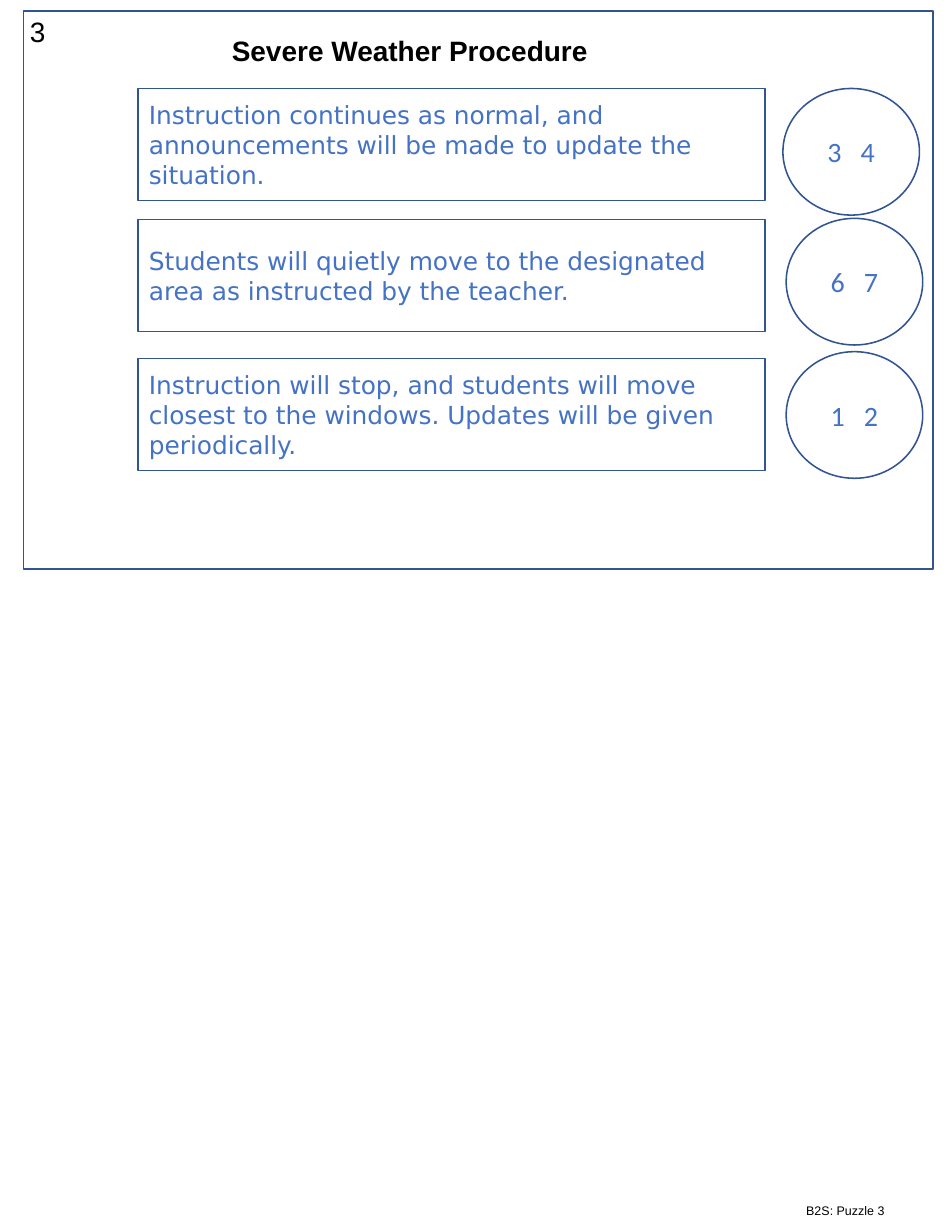
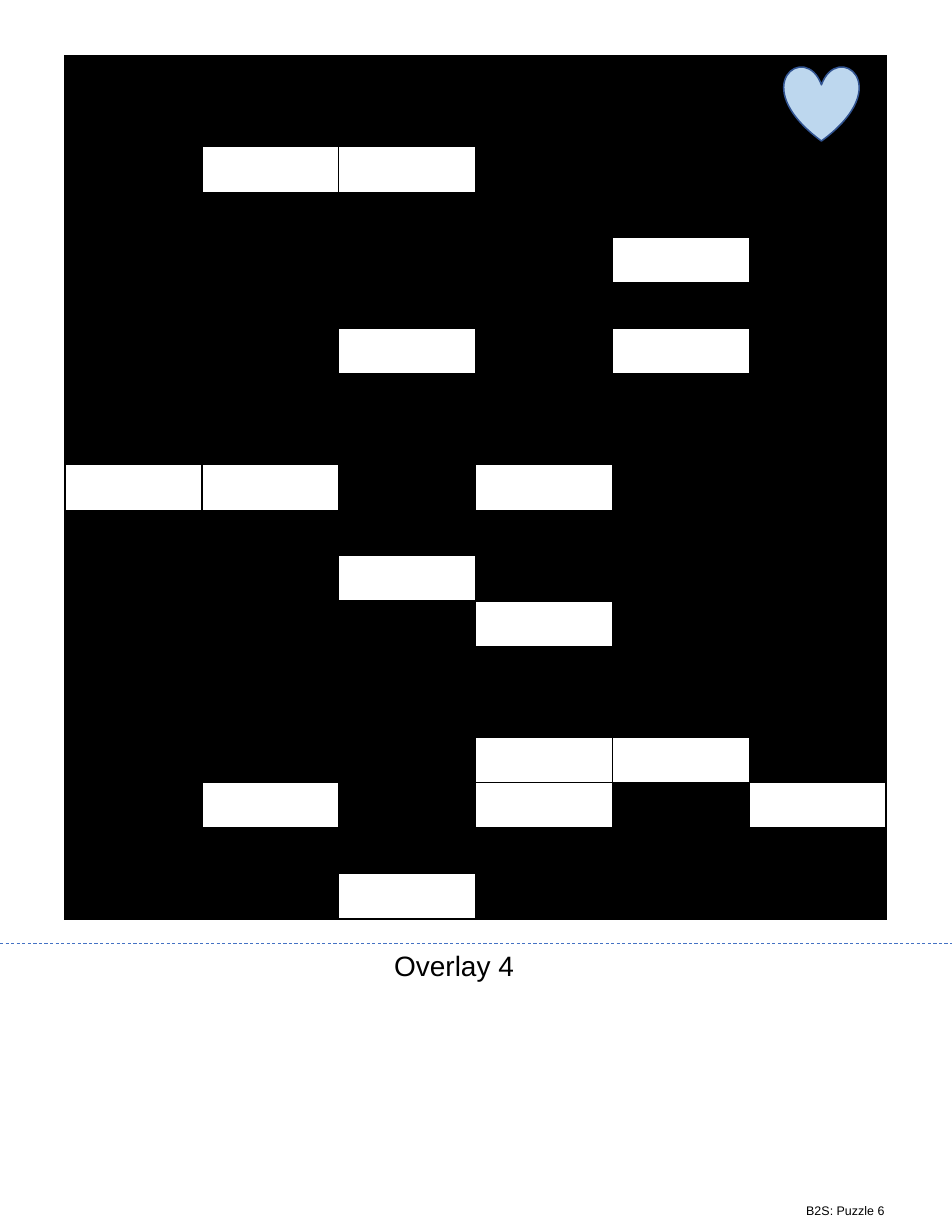
from pptx import Presentation
from pptx.dml.color import RGBColor
from pptx.enum import dml, shapes, text
from pptx.oxml import parse_xml
from pptx.oxml.ns import nsdecls
from pptx.util import Pt

HUES = {"ink": "000000", "paper": "FFFFFF", "edge": "325491",
        "blue": "4472C4", "heart": "BDD7EE"}
KIND = shapes.MSO_SHAPE
ALIGN = text.PP_ALIGN
FRAME = (15.1, 7.2, 584.6, 358.6)
GRID = (41.8, 36, 527.8, 555.1)
ROWS, COLS = 19, 6
HOLES = {2: [1, 2], 4: [4], 6: [2, 4], 9: [0, 1, 3], 11: [2], 12: [3],
         15: [3, 4], 16: [1, 3, 5], 18: [2]}
STEPS = [
    ("Instruction continues as normal, and announcements will be made to "
     "update the situation.", "34", 49.7, (488.2, 49.7)),
    ("Students will quietly move to the designated area as instructed by "
     "the teacher.", "67", 133.9, (490.3, 133.2)),
    ("Instruction will stop, and students will move closest to the windows. "
     "Updates will be given periodically.", "12", 223.2, (490.3, 218.9)),
]


def hue(name):
    return RGBColor.from_string(HUES[name])


def points(box):
    return [Pt(n) for n in box]


def style(para, size, face, tint, align=ALIGN.LEFT, bold=False):
    para.alignment = align
    font = para.font
    font.size, font.name, font.bold = Pt(size), face, bold
    font.color.rgb = hue(tint)


def panel(slide, kind, box, fill="paper"):
    shape = slide.shapes.add_shape(kind, *points(box))
    shape.shadow.inherit = False
    shape.fill.solid()
    shape.fill.fore_color.rgb = hue(fill)
    shape.line.color.rgb = hue("edge")
    shape.line.width = Pt(1)
    shape.text_frame.vertical_anchor = text.MSO_ANCHOR.MIDDLE
    return shape


def label(shape, words, size=18, wrap=False, bold=False):
    frame = shape.text_frame
    frame.text = words
    frame.word_wrap = wrap
    frame.auto_size = text.MSO_AUTO_SIZE.SHAPE_TO_FIT_TEXT
    frame.vertical_anchor = text.MSO_ANCHOR.TOP
    style(frame.paragraphs[0], size, "Arial", "ink", bold=bold)


def note(slide, box, words, size=18, wrap=False):
    label(slide.shapes.add_textbox(*points(box)), words, size, wrap)


def title(slide, box, words, bold=False):
    head = slide.shapes.title
    head.left, head.top, head.width, head.height = points(box)
    label(head, words, bold=bold)
    slide.shapes._spTree.append(head._element)


def footer(slide, number):
    note(slide, (511.2, 769.7, 100.8, 17.3), f"B2S: Puzzle {number}", 8, True)


def step(slide, left, top, words, pair, drop, spot):
    card = panel(slide, KIND.RECTANGLE, (left + 73.5, top + drop, 403.2, 72))
    card.text_frame.text = words
    style(card.text_frame.paragraphs[0], 16, "DejaVu Sans", "blue")
    x, y = spot
    disc = panel(slide, KIND.OVAL, (left + x, top + y, 87.8, 81.4))
    para = disc.text_frame.paragraphs[0]
    style(para, 18, "Calibri", "blue", ALIGN.CENTER)
    for part in (pair[0], " ", pair[1]):
        run = para.add_run()
        run.text = part
        if part == " ":
            run.font._element.set("spc", "810")


def procedure(slide, box):
    left, top = box[:2]
    panel(slide, KIND.RECTANGLE, box)
    for item in STEPS:
        step(slide, left, top, *item)
    note(slide, (left - 2.9, top - 1.4, 24.5, 28.8), "3")
    title(slide, (left + 126.7, top + 10.8, 245.5, 28.8),
          "Severe Weather Procedure", True)


def border(cell):
    props = cell._tc.get_or_add_tcPr()
    for side in "LRTB":
        props.append(parse_xml(
            f'<a:ln{side} {nsdecls("a")} w="12700"><a:solidFill>'
            f'<a:srgbClr val="{HUES["ink"]}"/></a:solidFill></a:ln{side}>'))


def mask(slide, box):
    left, top, width, height = box
    table = slide.shapes.add_table(ROWS, COLS, *points(box)).table
    for col in table.columns:
        col.width = Pt(width / COLS)
    for r, row in enumerate(table.rows):
        row.height = Pt(height / ROWS)
        for c, cell in enumerate(row.cells):
            cell.margin_top = cell.margin_bottom = 0
            border(cell)
            cell.fill.solid()
            open_ = c in HOLES.get(r, [])
            cell.fill.fore_color.rgb = hue("paper" if open_ else "ink")
    panel(slide, KIND.HEART, (left + 462.2, top + 6.5, 48.2, 48.2), "heart")


def cut(slide, y):
    line = slide.shapes.add_connector(
        shapes.MSO_CONNECTOR.STRAIGHT, *points((0, y, 612, y)))
    line.line.color.rgb = hue("blue")
    line.line.width = Pt(0.5)
    line.line.dash_style = dml.MSO_LINE.DASH
    line._element.spPr.append(parse_xml(f'<a:effectLst {nsdecls("a")}/>'))


def main():
    deck = Presentation()
    deck.slide_width, deck.slide_height = points((612, 792))
    layout = deck.slide_layouts[5]

    first = deck.slides.add_slide(layout)
    procedure(first, FRAME)
    footer(first, 3)

    second = deck.slides.add_slide(layout)
    title(second, (246.2, 606.2, 92.2, 28.8), "Overlay 4")
    mask(second, GRID)
    footer(second, 6)
    cut(second, 606.2)

    deck.save("out.pptx")


if __name__ == "__main__":
    main()
